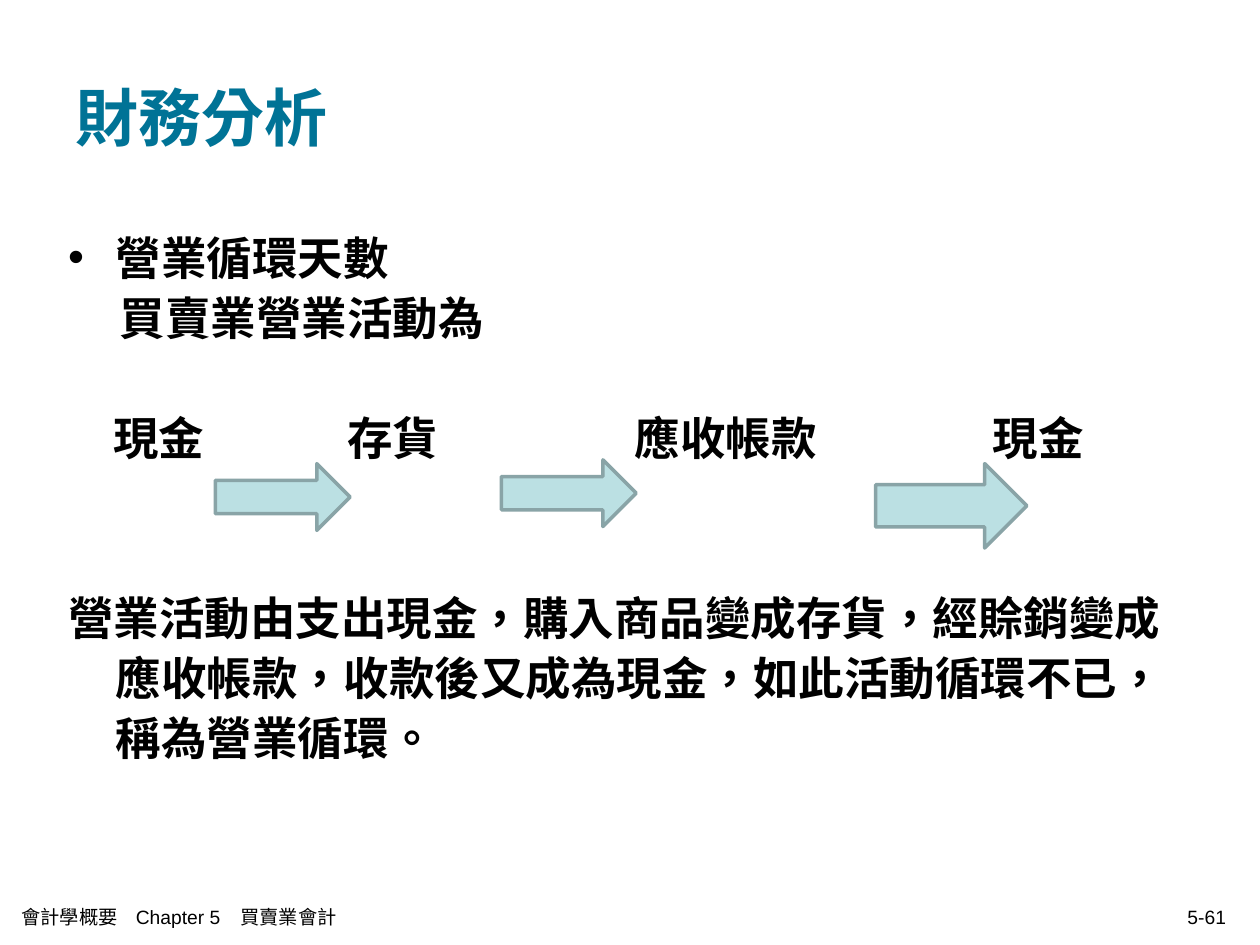
from dataclasses import dataclass

from lxml.etree import SubElement
from pptx import Presentation
from pptx.dml.color import RGBColor
from pptx.enum.shapes import MSO_SHAPE
from pptx.enum.text import MSO_ANCHOR, MSO_AUTO_SIZE, PP_ALIGN
from pptx.oxml.ns import qn
from pptx.util import Inches, Pt


@dataclass(frozen=True)
class Theme:
    title: RGBColor = RGBColor(0x00, 0x73, 0x96)
    text: RGBColor = RGBColor(0, 0, 0)
    fill: RGBColor = RGBColor(0xBB, 0xE0, 0xE3)
    line: RGBColor = RGBColor(0x89, 0xA4, 0xA7)
    serif: str = "Times New Roman"
    sans: str = "Arial"
    cjk: str = "Noto Sans CJK SC"
    title_size: int = 36
    body_size: int = 26
    footer_size: int = 11


@dataclass(frozen=True)
class BodyLine:
    text: str
    font: str
    margin: float = 0
    indent: float = 0
    before: float = 0
    bullet: str = ""


@dataclass(frozen=True)
class Stage:
    text: str
    left: float


@dataclass(frozen=True)
class Arrow:
    left: float
    top: float
    width: float
    height: float


@dataclass(frozen=True)
class Footer:
    text: str
    left: float
    width: float
    align: PP_ALIGN
    tabs: tuple[float, ...] = ()


THEME = Theme()

# The last paragraph leaves four lines free for the operating cycle
BODY = (
    BodyLine("營業循環天數", THEME.serif, 0.38, -0.38, bullet="•"),
    BodyLine("買賣業營業活動為", THEME.serif, 0.41),
    BodyLine("營業活動由支出現金，購入商品變成存貨，經賒銷變成應收帳款，"
             "收款後又成為現金，如此活動循環不已，稱為營業循環。",
             THEME.cjk, 0.38, -0.38, before=137.2),
)

STAGES = (
    Stage("現金", 0.8),
    Stage("存貨", 2.66),
    Stage("應收帳款", 4.94),
    Stage("現金", 7.78),
)

ARROWS = (
    Arrow(1.71, 3.68, 1.07, 0.53),
    Arrow(3.98, 3.65, 1.07, 0.53),
    Arrow(6.95, 3.68, 1.2, 0.67),
)

FOOTERS = (
    Footer("會計學概要\tChapter 5\t買賣業會計", 0.07, 5.1, PP_ALIGN.LEFT, (0.91, 1.74)),
    Footer("5-61", 7.5, 2.33, PP_ALIGN.RIGHT),
)


def place(sp, left: float, top: float, width: float, height: float) -> None:
    sp.left, sp.top = Inches(left), Inches(top)
    sp.width, sp.height = Inches(width), Inches(height)


def add_run(p, text: str, font: str, size: int, color: RGBColor, bold: bool) -> None:
    r = p.add_run()
    r.text = text
    r.font.name, r.font.size, r.font.bold = font, Pt(size), bold
    r.font.color.rgb = color
    # East Asian typeface and language
    rPr = r.font._element
    rPr.set("lang", "zh-TW")
    SubElement(rPr, qn("a:ea")).set("typeface", THEME.cjk)


def set_tabs(p, tabs: tuple[float, ...]) -> None:
    if tabs:
        tab_list = SubElement(p._p.get_or_add_pPr(), qn("a:tabLst"))
        for pos in tabs:
            tab = SubElement(tab_list, qn("a:tab"))
            tab.set("pos", str(Inches(pos)))
            tab.set("algn", "l")


def add_body_line(p, item: BodyLine) -> None:
    pPr = p._p.get_or_add_pPr()
    pPr.set("marL", str(Inches(item.margin)))
    pPr.set("indent", str(Inches(item.indent)))
    if item.bullet:
        SubElement(pPr, qn("a:buChar")).set("char", item.bullet)
    else:
        SubElement(pPr, qn("a:buNone"))
    p.alignment = PP_ALIGN.LEFT
    p.line_spacing = 1.1
    p.space_before = Pt(item.before)
    add_run(p, item.text, item.font, THEME.body_size, THEME.text, True)


def add_stage(s, stage: Stage) -> None:
    sp = s.shapes.add_textbox(Inches(stage.left), Inches(3.16), Inches(1.8), Inches(0.58))
    tf = sp.text_frame
    tf.word_wrap = True
    add_body_line(tf.paragraphs[0], BodyLine(stage.text, THEME.serif))


def add_arrow(s, arrow: Arrow) -> None:
    sp = s.shapes.add_shape(MSO_SHAPE.RIGHT_ARROW, Inches(arrow.left), Inches(arrow.top),
                            Inches(arrow.width), Inches(arrow.height))
    sp.shadow.inherit = False
    sp.fill.solid()
    sp.fill.fore_color.rgb = THEME.fill
    sp.line.color.rgb = THEME.line
    sp.line.width = Pt(2)


def add_footer(s, footer: Footer) -> None:
    sp = s.shapes.add_textbox(Inches(footer.left), Inches(7.11),
                              Inches(footer.width), Inches(0.33))
    tf = sp.text_frame
    tf.word_wrap = True
    tf.vertical_anchor = MSO_ANCHOR.MIDDLE
    p = tf.paragraphs[0]
    set_tabs(p, footer.tabs)
    p.alignment = footer.align
    add_run(p, footer.text, THEME.sans, THEME.footer_size, THEME.text, False)


def main() -> None:
    prs = Presentation()
    prs.slide_width, prs.slide_height = Inches(10), Inches(7.5)
    s = prs.slides.add_slide(prs.slide_layouts[1])

    # Title
    title = s.shapes.title
    place(title, 0.5, 0.3, 9, 1.25)
    tf = title.text_frame
    tf.auto_size = MSO_AUTO_SIZE.NONE
    tf.vertical_anchor = MSO_ANCHOR.MIDDLE
    p = tf.paragraphs[0]
    p.alignment = PP_ALIGN.LEFT
    add_run(p, "財務分析", THEME.serif, THEME.title_size, THEME.title, True)

    # Body text
    body = s.placeholders[1]
    place(body, 0.44, 1.73, 9, 4.95)
    tf = body.text_frame
    tf.auto_size = MSO_AUTO_SIZE.NONE
    for i, item in enumerate(BODY):
        add_body_line(tf.add_paragraph() if i else tf.paragraphs[0], item)

    # Operating cycle: stages and arrows
    for stage in STAGES:
        add_stage(s, stage)
    for arrow in ARROWS:
        add_arrow(s, arrow)

    # Footer and page number
    for footer in FOOTERS:
        add_footer(s, footer)

    prs.save("out.pptx")


if __name__ == "__main__":
    main()
